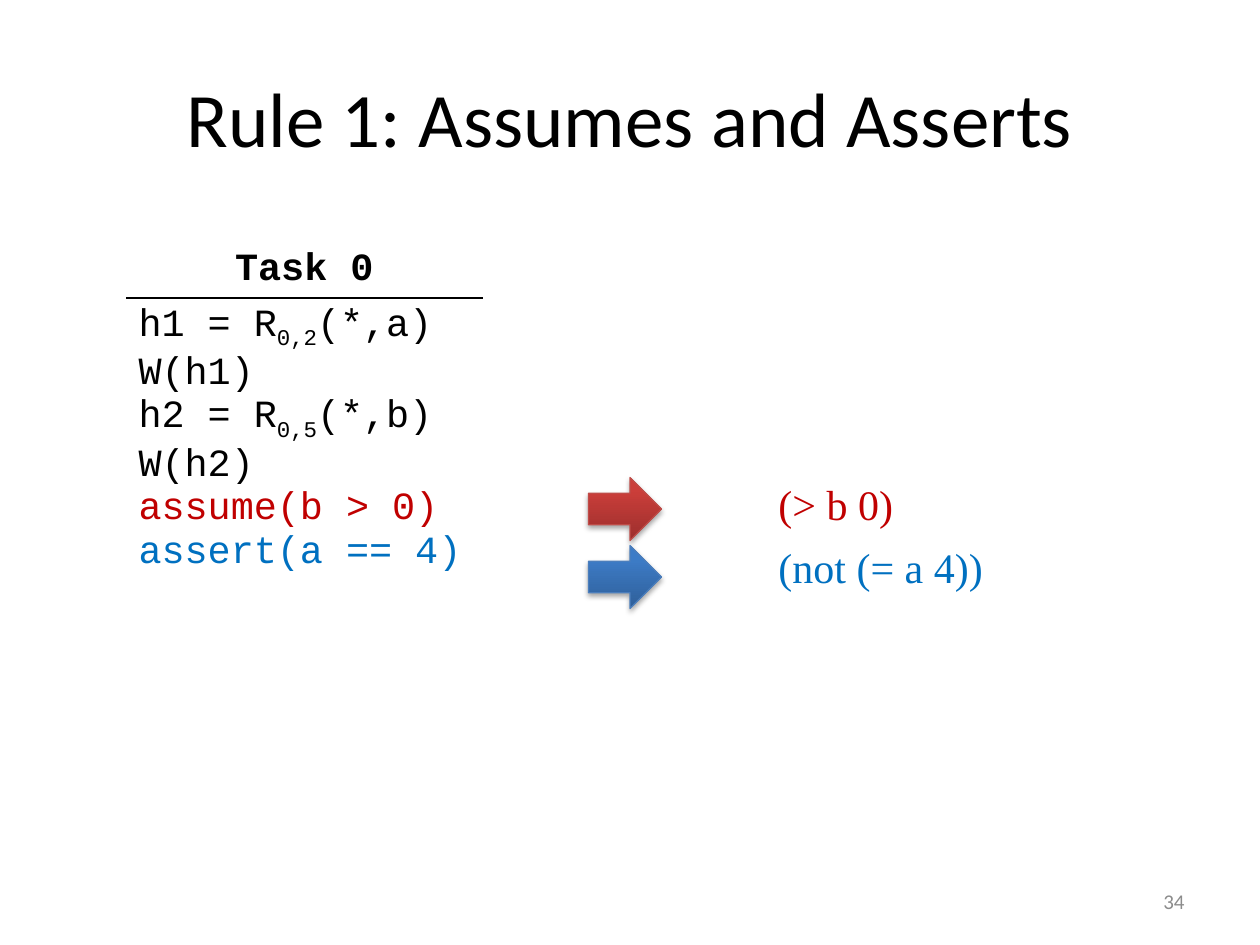
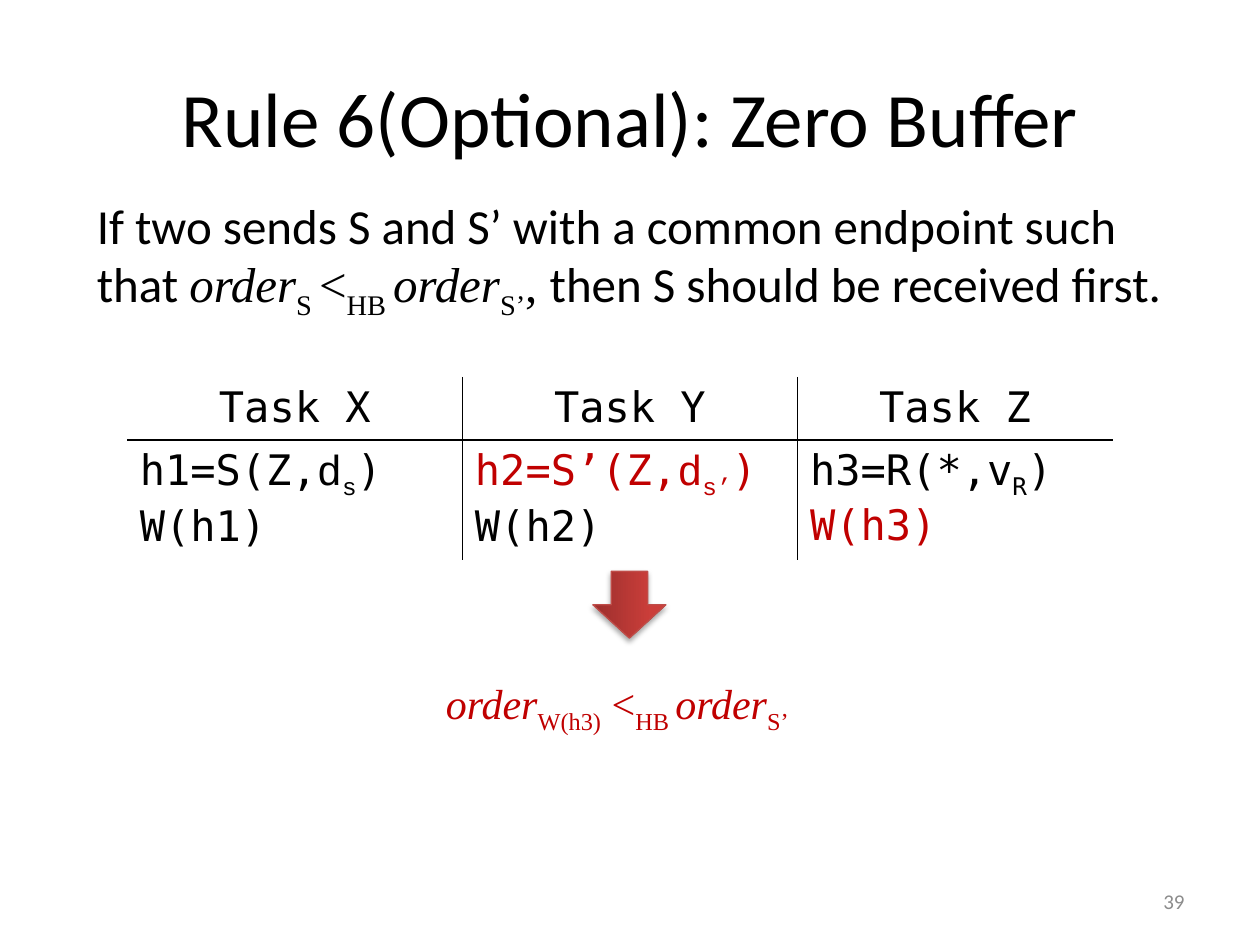
from dataclasses import dataclass

from lxml.etree import SubElement
from pptx import Presentation
from pptx.dml.color import RGBColor
from pptx.enum.shapes import MSO_SHAPE as Preset
from pptx.enum.text import MSO_ANCHOR as Anchor, MSO_AUTO_SIZE as AutoSize, PP_ALIGN as Align
from pptx.oxml.ns import qn
from pptx.util import Emu, Inches, Pt

COLORS = {
    "black": "000000", "white": "FFFFFF", "gray": "8C8C8C",
    "red": "C00000", "blue": "0070C0",
}
# Arrow shades: gradient start, gradient end, outline
ARROWS = {
    "red": ("9C2F2D", "CB3E3A", "BF4C48"),
    "blue": ("2F5F99", "3D7CC7", "4B7EBC"),
}
BODY, SERIF, COURIER, MONO = "Calibri", "Times New Roman", "Courier New", "DejaVu Sans Mono"
TITLE_ONLY = 5
COLUMNS, ROWS = 100, 75
UNIT = Inches(10) // COLUMNS

# Run formats
SUB = {"baseline": -25}
ITALIC = {"italic": True}
MATH = {"font": SERIF}
MATH_SUB = MATH | SUB
MATH_ITALIC = MATH | ITALIC


@dataclass
class Box:
    """An area of the slide, counted in grid columns and rows."""
    left: float
    top: float
    width: float
    height: float

    def area(self, left, top, width, height):
        return Box(self.left + left, self.top + top, width, height)

    def emu(self):
        return [Emu(round(n * UNIT)) for n in (self.left, self.top, self.width, self.height)]


def rgb(value):
    return RGBColor.from_string(COLORS.get(value, value))


def format_run(run, font=BODY, size=24, color="black", bold=False, italic=False, baseline=0):
    run.font.name, run.font.size = font, Pt(size)
    run.font.bold, run.font.italic = bold, italic
    run.font.color.rgb = rgb(color)
    if baseline:
        run._r.get_or_add_rPr().set("baseline", str(baseline * 1000))


def write(frame, *paragraphs, align=Align.LEFT, **style):
    """Each paragraph is a string, or a list of strings and (string, format) pairs."""
    for index, pieces in enumerate(paragraphs):
        paragraph = frame.add_paragraph() if index else frame.paragraphs[0]
        paragraph.alignment = align
        for piece in [pieces] if isinstance(pieces, str) else pieces:
            text, extra = (piece, {}) if isinstance(piece, str) else piece
            run = paragraph.add_run()
            run.text = text
            format_run(run, **(style | extra))


def add_text(slide, box, *paragraphs, wrap=False, anchor=Anchor.TOP, **style):
    frame = slide.shapes.add_textbox(*box.emu()).text_frame
    frame.word_wrap = wrap
    frame.auto_size = AutoSize.NONE if wrap else AutoSize.SHAPE_TO_FIT_TEXT
    frame.vertical_anchor = anchor
    write(frame, *paragraphs, **style)


def add_arrow(slide, box, shade, rotation=0):
    start, end, outline = ARROWS[shade]
    arrow = slide.shapes.add_shape(Preset.RIGHT_ARROW, *box.emu())
    arrow.rotation = rotation
    arrow.fill.gradient()
    arrow.fill.gradient_angle = 90
    for stop, color, position in zip(arrow.fill.gradient_stops, (start, end), (0, 0.8)):
        stop.color.rgb, stop.position = rgb(color), position
    arrow.line.color.rgb, arrow.line.width = rgb(outline), Pt(0.75)
    # Soft shadow below
    arrow.shadow.inherit = False
    effects = arrow._element.spPr.find(qn("a:effectLst"))
    shadow = SubElement(effects, qn("a:outerShdw"), blurRad=str(Pt(3.1)), dist=str(Pt(1.8)),
                        dir="5400000", rotWithShape="0")
    black = SubElement(shadow, qn("a:srgbClr"), val=COLORS["black"])
    SubElement(black, qn("a:alpha"), val="35000")


def set_borders(cell, **visible):
    properties = cell._tc.get_or_add_tcPr()
    for side in "LRTB":
        line = SubElement(properties, qn(f"a:ln{side}"), w=str(Pt(1)))
        if visible[side]:
            fill = SubElement(line, qn("a:solidFill"))
            SubElement(fill, qn("a:srgbClr"), val=COLORS["black"])
        else:
            SubElement(line, qn("a:noFill"))


def add_task_table(slide, box, widths, heights, cells, tight=False, bold_head=False, **style):
    """Task names over their code, ruled below the head and between the tasks."""
    table = slide.shapes.add_table(len(heights), len(widths), *box.emu()).table
    table.first_row = table.horz_banding = False
    for column, width in zip(table.columns, widths):
        column.width = Emu(round(width * UNIT))
    for row, height in zip(table.rows, heights):
        row.height = Emu(round(height * UNIT))
    for r, row in enumerate(cells):
        for c, paragraphs in enumerate(row):
            cell = table.cell(r, c)
            set_borders(cell, L=c > 0, R=c < len(widths) - 1, T=r == 1, B=r == 0)
            cell.fill.solid()
            cell.fill.fore_color.rgb = rgb("white")
            if tight and r > 0:
                cell.margin_bottom = 0
                if r > 1:
                    cell.margin_top = 0
            write(cell.text_frame, *paragraphs, bold=bold_head and r == 0,
                  align=Align.LEFT if r else Align.CENTER, **style)


def add_derivations(slide, box, formulas):
    """One arrow and its formula for each (colour, text) pair."""
    for index, (color, text, width) in enumerate(formulas):
        add_arrow(slide, box.area(0, 0.4 + 5.4 * index, 5.8, 5), color)
        add_text(slide, box.area(14.1, 5 * index, width, 5), text, font=SERIF, color=color)


def add_titled_slide(presentation, page, title, number):
    slide = presentation.slides.add_slide(presentation.slide_layouts[TITLE_ONLY])
    shape = slide.shapes.title
    shape.left, shape.top, shape.width, shape.height = page.area(5, 3, 90, 12.5).emu()
    shape.text_frame.vertical_anchor = Anchor.MIDDLE
    write(shape.text_frame, title, align=Align.CENTER, size=44)
    add_text(slide, page.area(71.7, 69.5, 23.3, 4), number, wrap=True, anchor=Anchor.MIDDLE,
             align=Align.RIGHT, size=12, color="gray")
    return slide


def build_assumes_slide(presentation, page):
    slide = add_titled_slide(presentation, page, "Rule 1: Assumes and Asserts", "34")
    cells = [
        [["Task 0"]],
        [[["h1 = R", ("0,2", SUB), "(*,a)"], "W(h1)"]],
        [[["h2 = R", ("0,5", SUB), "(*,b)"], "W(h2)"]],
        [[[("assume(b > 0)", {"color": "red"})], [("assert(a == 4)", {"color": "blue"})]]],
    ]
    add_task_table(slide, page.area(10, 19.2, 28.3, 27.2), [28.3], [2.9, 4.8, 4.3, 7], cells,
                   tight=True, bold_head=True, font=COURIER, size=22)
    add_derivations(slide, page.area(46.7, 37.5, 32.5, 10.8),
                    [("red", "(> b 0)", 11.6), ("blue", "(not (= a 4))", 18.4)])


def build_zero_buffer_slide(presentation, page):
    slide = add_titled_slide(presentation, page, "Rule 6(Optional): Zero Buffer", "39")
    # Rule in words
    add_text(slide, page.area(6.7, 15, 89.3, 10.4),
             "If two sends S and S’ with a common endpoint such",
             ["that ", ("order", MATH_ITALIC), ("S ", MATH_SUB), ("<", MATH), ("HB ", MATH_SUB),
              ("order", MATH_ITALIC), ("S’", MATH_SUB), (", ", MATH),
              "then S should be received first."], size=28)
    # Resulting order
    add_text(slide, page.area(34.4, 53.3, 31.3, 5),
             [("order", ITALIC), ("W(h3)", SUB), " <", ("HB ", SUB), ("order", ITALIC),
              ("S’", SUB)], font=SERIF, color="red")
    # Tasks
    red, courier = {"color": "red"}, {"font": COURIER}
    cells = [
        [["Task X"], ["Task Y"], ["Task Z"]],
        [[["h1=S(Z,", ("d", courier), ("s", courier | SUB), ")"], "W(h1)"],
         [[("h2=S’(Z,", red), ("d", red | courier), ("s’", red | courier | SUB), (")", red)],
          "W(h2)"],
         [["h3=R(*,v", ("R", SUB), ")"], [("W(h3)", red)]]],
    ]
    add_task_table(slide, page.area(10.1, 29.9, 78.2, 14), [26.6, 26.6, 25], [4.1, 4.1], cells,
                   font=MONO)
    # Step to the resulting order
    add_arrow(slide, page.area(47.3, 45.1, 5.3, 5.8), "red", rotation=90)


def main():
    presentation = Presentation()
    presentation.slide_width, presentation.slide_height = COLUMNS * UNIT, ROWS * UNIT
    page = Box(0, 0, COLUMNS, ROWS)
    build_assumes_slide(presentation, page)
    build_zero_buffer_slide(presentation, page)
    presentation.save("out.pptx")


if __name__ == "__main__":
    main()
